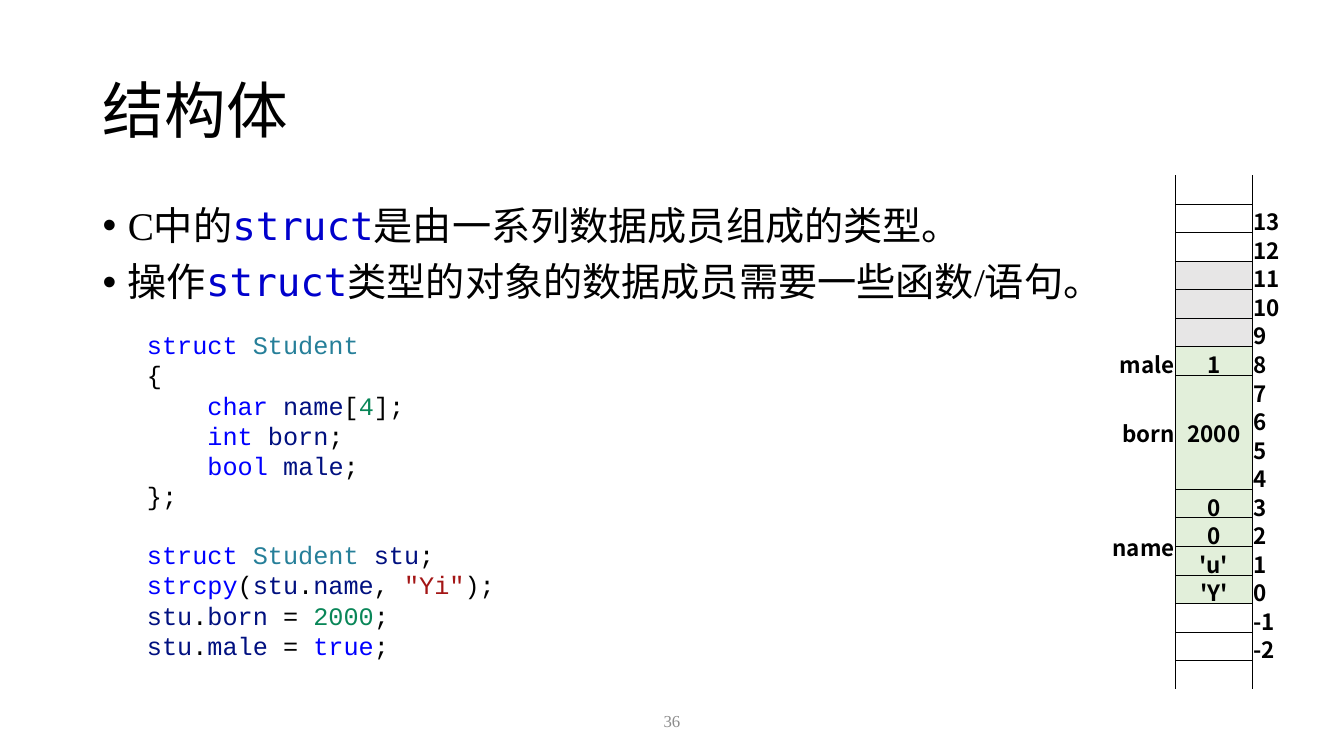
import pptx
import pptx.util
import pptx.dml.color
import pptx.enum.text
import pptx.oxml
import pptx.oxml.ns

Inches, Pt = pptx.util.Inches, pptx.util.Pt
RGB = pptx.dml.color.RGBColor
ALIGN = pptx.enum.text.PP_ALIGN
ANCHOR = pptx.enum.text.MSO_ANCHOR
qn = pptx.oxml.ns.qn

BLACK = RGB(0x00, 0x00, 0x00)
GREY = RGB(0x8C, 0x8C, 0x8C)
TERM = RGB(0x00, 0x00, 0xCC)
KEYWORD = RGB(0x00, 0x00, 0xFF)
TYPE = RGB(0x26, 0x7F, 0x99)
NAME = RGB(0x00, 0x10, 0x80)
NUMBER = RGB(0x09, 0x86, 0x58)
STRING = RGB(0xA3, 0x15, 0x15)
PADDING = RGB(0xE7, 0xE6, 0xE6)
MEMBER = RGB(0xE2, 0xEF, 0xDA)
SERIF, MONO, CODE_FONT = "Times New Roman", "DejaVu Sans Mono", "Courier New"
SANS = "Noto Sans CJK SC"

# Content
TITLE = "结构体"
PAGE = "36"
BULLETS = [
    ("C中的", "struct", "是由一系列数据成员组成的类型。"),
    ("操作", "struct", "类型的对象的数据成员需要一些函数/语句。"),
]
DECLARATION = [
    [("struct ", KEYWORD), ("Student", TYPE)],
    [("{", BLACK)],
    [("    char ", KEYWORD), ("name", NAME), ("[", BLACK), ("4", NUMBER), ("];", BLACK)],
    [("    int ", KEYWORD), ("born", NAME), (";", BLACK)],
    [("    bool ", KEYWORD), ("male", NAME), (";", BLACK)],
    [("};", BLACK)],
]
USAGE = [
    [("struct ", KEYWORD), ("Student ", TYPE), ("stu", NAME), (";", BLACK)],
    [("strcpy", KEYWORD), ("(", BLACK), ("stu", NAME), (".", BLACK), ("name", NAME),
     (", ", BLACK), ('"Yi"', STRING), (");", BLACK)],
    [("stu", NAME), (".", BLACK), ("born", NAME), (" = ", BLACK), ("2000", NUMBER),
     (";", BLACK)],
    [("stu", NAME), (".", BLACK), ("male", NAME), (" = ", BLACK), ("true", KEYWORD),
     (";", BLACK)],
]
TOP_ADDRESS, LOW_ADDRESS = 13, -2
PADDING_BYTES = (9, 10, 11)
# (highest address, bytes, text)
LABELS = [(8, 1, "male"), (7, 4, "born"), (3, 4, "name")]
VALUES = [(8, 1, "1"), (7, 4, "2000"), (3, 1, "0"), (2, 1, "0"), (1, 1, "'u'"), (0, 1, "'Y'")]
COLUMNS = (0.98, 0.76, 0.56)
TABLE_HEIGHT = 5.1
NO_STYLE = "{2D5ABB26-0587-4C30-8999-92F81FD0307C}"


def add_text(p, text, size, font=SERIF, color=BLACK, bold=False):
    r = p.add_run()
    r.text = text
    r.font.size, r.font.name, r.font.bold = Pt(size), font, bold
    r.font.color.rgb = color
    ea = r._r.get_or_add_rPr().makeelement(qn("a:ea"), {"typeface": SANS})
    r.font._element.find(qn("a:latin")).addnext(ea)


def add_box(slide, left, top, width, height):
    tf = slide.shapes.add_textbox(*map(Inches, (left, top, width, height))).text_frame
    tf.word_wrap = True
    return tf


def next_paragraph(tf, index):
    return tf.paragraphs[0] if index == 0 else tf.add_paragraph()


def set_bullet(p):
    pPr = p._p.get_or_add_pPr()
    pPr.set("marL", str(Inches(0.25)))
    pPr.set("indent", str(-Inches(0.25)))
    for tag, attr, value in (("a:buFont", "typeface", "Arial"), ("a:buChar", "char", "•")):
        pPr.append(pPr.makeelement(qn(tag), {attr: value}))


def set_borders(cell, sides):
    tcPr = cell._tc.get_or_add_tcPr()
    for side in sides:
        tcPr.append(pptx.oxml.parse_xml(
            f'<a:ln{side} xmlns:a="http://schemas.openxmlformats.org/drawingml/2006/main" '
            f'w="{Pt(0.5)}"><a:solidFill><a:srgbClr val="{BLACK}"/></a:solidFill></a:ln{side}>'))


def fill_cell(cell, text, align):
    cell.vertical_anchor = ANCHOR.MIDDLE
    cell.margin_left = cell.margin_top = cell.margin_right = Inches(0.01)
    cell.margin_bottom = 0
    p = cell.text_frame.paragraphs[0]
    p.alignment = align
    add_text(p, text, 16, font=SANS, bold=True)


def add_memory_table(slide):
    row_count = TOP_ADDRESS - LOW_ADDRESS + 3
    table = slide.shapes.add_table(
        row_count, len(COLUMNS), Inches(10.68), Inches(1.74),
        Inches(sum(COLUMNS)), Inches(TABLE_HEIGHT)).table
    table.first_row = table.horz_banding = False
    table._tbl.tblPr.find(qn("a:tableStyleId")).text = NO_STYLE
    for column, width in zip(table.columns, COLUMNS):
        column.width = Inches(width)
    for row in table.rows:
        row.height = Inches(TABLE_HEIGHT / row_count)

    def row_of(address):
        return TOP_ADDRESS - address + 1

    # Small empty cells, borders and fills of the memory column
    for i in range(row_count):
        for j in range(len(COLUMNS)):
            cell = table.cell(i, j)
            cell.margin_top = cell.margin_bottom = 0
            cell.text_frame.paragraphs[0]._p.get_or_add_endParaRPr().set("sz", "1000")
            if j == 1:
                inside = row_of(7) < i <= row_of(4)
                top = "" if i == 0 or inside else "T"
                bottom = "" if i == row_count - 1 or row_of(7) <= i < row_of(4) else "B"
                set_borders(cell, "LR" + top + bottom)
            address = TOP_ADDRESS + 1 - i
            if j == 1 and address in PADDING_BYTES:
                cell.fill.solid()
                cell.fill.fore_color.rgb = PADDING
            elif j == 1 and 0 <= address <= LABELS[0][0]:
                cell.fill.solid()
                cell.fill.fore_color.rgb = MEMBER
            else:
                cell.fill.background()

    # Member names, values and addresses
    for j, entries, align in ((0, LABELS, ALIGN.RIGHT), (1, VALUES, ALIGN.CENTER)):
        for address, size, text in entries:
            cell = table.cell(row_of(address), j)
            if size > 1:
                cell.merge(table.cell(row_of(address) + size - 1, j))
            fill_cell(cell, text, align)
    for address in range(LOW_ADDRESS, TOP_ADDRESS + 1):
        fill_cell(table.cell(row_of(address), 2), str(address), ALIGN.LEFT)


def main():
    prs = pptx.Presentation()
    prs.slide_width, prs.slide_height = Inches(13.33), Inches(7.5)
    slide = prs.slides.add_slide(prs.slide_layouts[5])

    # Title
    title = slide.shapes.title
    title.left, title.top, title.width, title.height = map(Inches, (0.92, 0.4, 11.5, 1.45))
    title.text_frame.vertical_anchor = ANCHOR.MIDDLE
    p = title.text_frame.paragraphs[0]
    p.alignment, p.line_spacing = ALIGN.LEFT, 0.9
    add_text(p, TITLE, 44)

    # Bullets
    tf = add_box(slide, 0.92, 2, 11.5, 4.76)
    for i, (before, term, after) in enumerate(BULLETS):
        p = next_paragraph(tf, i)
        p.line_spacing, p.space_before = 0.9, Pt(10)
        set_bullet(p)
        add_text(p, before, 28)
        add_text(p, term, 28, font=MONO, color=TERM)
        add_text(p, after, 28)

    # Page number
    tf = add_box(slide, 6.26, 6.95, 0.81, 0.4)
    tf.vertical_anchor = ANCHOR.MIDDLE
    tf.paragraphs[0].alignment = ALIGN.CENTER
    add_text(tf.paragraphs[0], PAGE, 12, color=GREY)

    # Code, with one line of space between declaration and usage
    tf = add_box(slide, 1.36, 3.22, 6.13, 3.74)
    for i, line in enumerate(DECLARATION + USAGE):
        p = next_paragraph(tf, i)
        if i == len(DECLARATION):
            p.space_before = Pt(20.4)
        for text, color in line:
            add_text(p, text, 18, font=CODE_FONT, color=color)

    add_memory_table(slide)
    prs.save("out.pptx")


if __name__ == "__main__":
    main()
